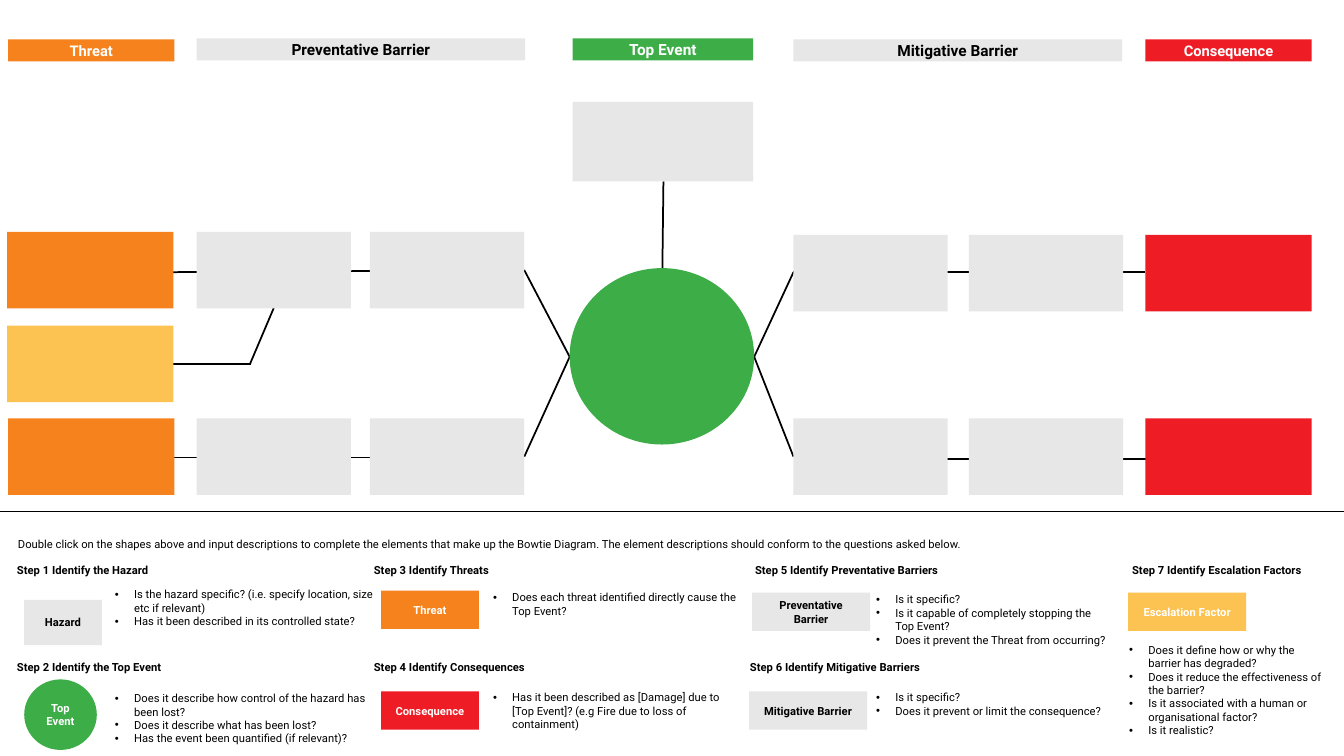
from lxml import etree
from pptx import Presentation
from pptx.dml.color import RGBColor
from pptx.enum import shapes, text
from pptx.oxml import ns
from pptx.util import Inches, Pt

COLORS = {"orange": "F6821D", "grey": "E7E7E8", "red": "EE1C25", "green": "3DAD48",
          "yellow": "FCC352", "black": "000000", "white": "FFFFFF"}
FONT = "Roboto"
RECT, OVAL = shapes.MSO_SHAPE.RECTANGLE, shapes.MSO_SHAPE.OVAL

THREAT_W, BARRIER_W, BOX_H = 1.65, 1.53, 0.76
PREVENT_X, MITIGATE_X, CONSEQUENCE_X = (1.95, 3.67), (7.87, 9.61), 11.36
UPPER_LEFT_Y, UPPER_RIGHT_Y, LOWER_Y = 2.3, 2.33, 4.15
EVENT_LEFT, EVENT_RIGHT, EVENT_MIDDLE = (5.65, 3.54), (7.48, 3.54), (6.57, 2.66)

CONNECTORS = [
    ((11.38, 4.55), (7.89, 4.55)), ((11.36, 2.7), (7.87, 2.7)),
    ((5.17, 4.54), (1.7, 4.54)), ((5.2, 2.68), (1.7, 2.7)),
    ((6.58, 1.8), EVENT_MIDDLE),
    ((5.2, 2.68), EVENT_LEFT), ((5.2, 4.53), EVENT_LEFT),
    ((7.87, 2.7), EVENT_RIGHT), ((7.87, 4.53), EVENT_RIGHT),
    ((1.6, 3.61), (2.49, 3.61)), ((2.79, 2.88), (2.48, 3.61)),
]

HEADERS = [
    ("Threat", 0.08, 0.39, THREAT_W, "orange", 10.5),
    ("Preventative Barrier", 1.95, 0.38, 3.26, "grey", 11),
    ("Top Event", 5.68, 0.38, 1.79, "green", 11),
    ("Mitigative Barrier", 7.87, 0.39, 3.26, "grey", 11),
    ("Consequence", 11.36, 0.39, THREAT_W, "red", 10.5),
]

INSTRUCTION = ("Double click on the shapes above and input descriptions to complete the elements "
               "that make up the Bowtie Diagram. The element descriptions should conform to the "
               "questions asked below.")

STEPS = [
    {"title": "Step 1 Identify the Hazard", "at": (0.07, 5.54),
     "key": ("Hazard", RECT, "grey", (0.24, 5.95, 0.77, 0.45)),
     "box": (1.14, 5.83, 2.6, 0.54),
     "questions": ["Is the hazard specific? (i.e. specify location, size etc if relevant)",
                   "Has it been described in its controlled state?"]},
    {"title": "Step 2 Identify the Top Event", "at": (0.07, 6.5),
     "key": ("Top Event", OVAL, "green", (0.24, 6.74, 0.72, 0.7)),
     "box": (1.14, 6.86, 2.61, 0.84),
     "questions": ["Does it describe how control of the hazard has been lost?",
                   "Does it describe what has been lost?",
                   "Has the event been quantified (if relevant)?"]},
    {"title": "Step 3 Identify Threats", "at": (3.61, 5.54),
     "key": ("Threat", RECT, "orange", (3.78, 5.86, 0.97, 0.38)),
     "box": (4.89, 5.86, 2.47, 0.57),
     "questions": ["Does each threat identified directly cause the Top Event?"]},
    {"title": "Step 4 Identify Consequences", "at": (3.61, 6.5),
     "key": ("Consequence", RECT, "red", (3.78, 6.86, 0.97, 0.38)),
     "box": (4.89, 6.85, 2.42, 0.71),
     "questions": ["Has it been described as [Damage] due to [Top Event]? "
                   "(e.g Fire due to loss of containment)"]},
    {"title": "Step 5 Identify Preventative Barriers", "at": (7.39, 5.54),
     "key": ("Preventative Barrier", RECT, "grey", (7.46, 5.88, 1.17, 0.38)),
     "box": (8.69, 5.88, 2.29, 0.84),
     "questions": ["Is it specific?",
                   "Is it capable of completely stopping the Top Event?",
                   "Does it prevent the Threat from occurring?"]},
    {"title": "Step 6 Identify Mitigative Barriers", "at": (7.34, 6.5),
     "key": ("Mitigative Barrier", RECT, "grey", (7.43, 6.86, 1.17, 0.38)),
     "box": (8.69, 6.85, 2.29, 0.57),
     "questions": ["Is it specific?", "Does it prevent or limit the consequence?"]},
    {"title": "Step 7 Identify Escalation Factors", "at": (11.13, 5.54),
     "key": ("Escalation Factor", RECT, "yellow", (11.19, 5.88, 1.17, 0.38)),
     "box": (11.2, 6.38, 1.97, 0.94),
     "questions": ["Does it define how or why the barrier has degraded?",
                   "Does it reduce the effectiveness of the barrier?",
                   "Is it associated with a human or organisational factor?",
                   "Is it realistic?"]},
]

presentation = Presentation()
presentation.slide_width, presentation.slide_height = Inches(13.33), Inches(7.5)
slide = presentation.slides.add_slide(presentation.slide_layouts[6])


def rgb(color):
    return RGBColor.from_string(COLORS[color])


def style(paragraph, size, color="black", bold=False):
    font = paragraph.font
    font.name, font.size, font.bold = FONT, Pt(size), bold
    font.color.rgb = rgb(color)


def add_line(start, end, width=1.25):
    line = slide.shapes.add_connector(shapes.MSO_CONNECTOR.STRAIGHT,
                                      *map(Inches, start + end))
    line.line.color.rgb = rgb("black")
    line.line.width = Pt(width)
    etree.SubElement(line.element.spPr, ns.qn("a:effectLst"))


def add_box(kind, box, color, label="", size=8):
    shape = slide.shapes.add_shape(kind, *map(Inches, box))
    shape.shadow.inherit = False
    shape.fill.solid()
    shape.fill.fore_color.rgb = rgb(color)
    shape.line.fill.background()
    if label:
        frame = shape.text_frame
        frame.word_wrap = True
        frame.vertical_anchor = text.MSO_ANCHOR.MIDDLE
        paragraph = frame.paragraphs[0]
        paragraph.text = label
        paragraph.alignment = text.PP_ALIGN.CENTER
        style(paragraph, size, "black" if color == "grey" else "white", True)


def add_text(box, lines, bold=False, bullets=False):
    frame = slide.shapes.add_textbox(*map(Inches, box)).text_frame
    frame.word_wrap = True
    if bullets:
        frame.margin_left = frame.margin_right = frame.margin_top = frame.margin_bottom = 0
    for index, line in enumerate(lines):
        paragraph = frame.add_paragraph() if index else frame.paragraphs[0]
        paragraph.text = line
        style(paragraph, 8, bold=bold)
        if bullets:
            properties = paragraph._p.get_or_add_pPr()
            properties.set("marL", str(Inches(0.19)))
            properties.set("indent", str(-Inches(0.19)))
            bullet_font = etree.Element(ns.qn("a:buFont"), typeface="Arial")
            bullet = etree.Element(ns.qn("a:buChar"), char="•")
            properties.insert(0, bullet_font)
            properties.insert(1, bullet)


for start, end in CONNECTORS:
    add_line(start, end)

for x, y, color in [(0.07, UPPER_LEFT_Y, "orange"), (0.07, 3.23, "yellow"),
                    (0.08, LOWER_Y, "orange"), (CONSEQUENCE_X, UPPER_RIGHT_Y, "red"),
                    (CONSEQUENCE_X, LOWER_Y, "red")]:
    add_box(RECT, (x, y, THREAT_W, BOX_H), color)
for columns, upper_y in [(PREVENT_X, UPPER_LEFT_Y), (MITIGATE_X, UPPER_RIGHT_Y)]:
    for x in columns:
        for y in (upper_y, LOWER_Y):
            add_box(RECT, (x, y, BARRIER_W, BOX_H), "grey")
add_box(RECT, (5.68, 1.01, 1.79, 0.79), "grey")
add_box(OVAL, (5.65, 2.66, 1.83, 1.75), "green")

for label, x, y, width, color, size in HEADERS:
    add_box(RECT, (x, y, width, 0.22), color, label, size)

add_line((0, 5.07), (13.33, 5.07), 0.5)
add_text((0.08, 5.28, 13.09, 0.24), [INSTRUCTION])
for step in STEPS:
    label, kind, color, key_box = step["key"]
    add_box(kind, key_box, color, label)
    add_text(step["at"] + (2.83, 0.24), [step["title"]], bold=True)
    add_text(step["box"], step["questions"], bullets=True)

presentation.save("out.pptx")
